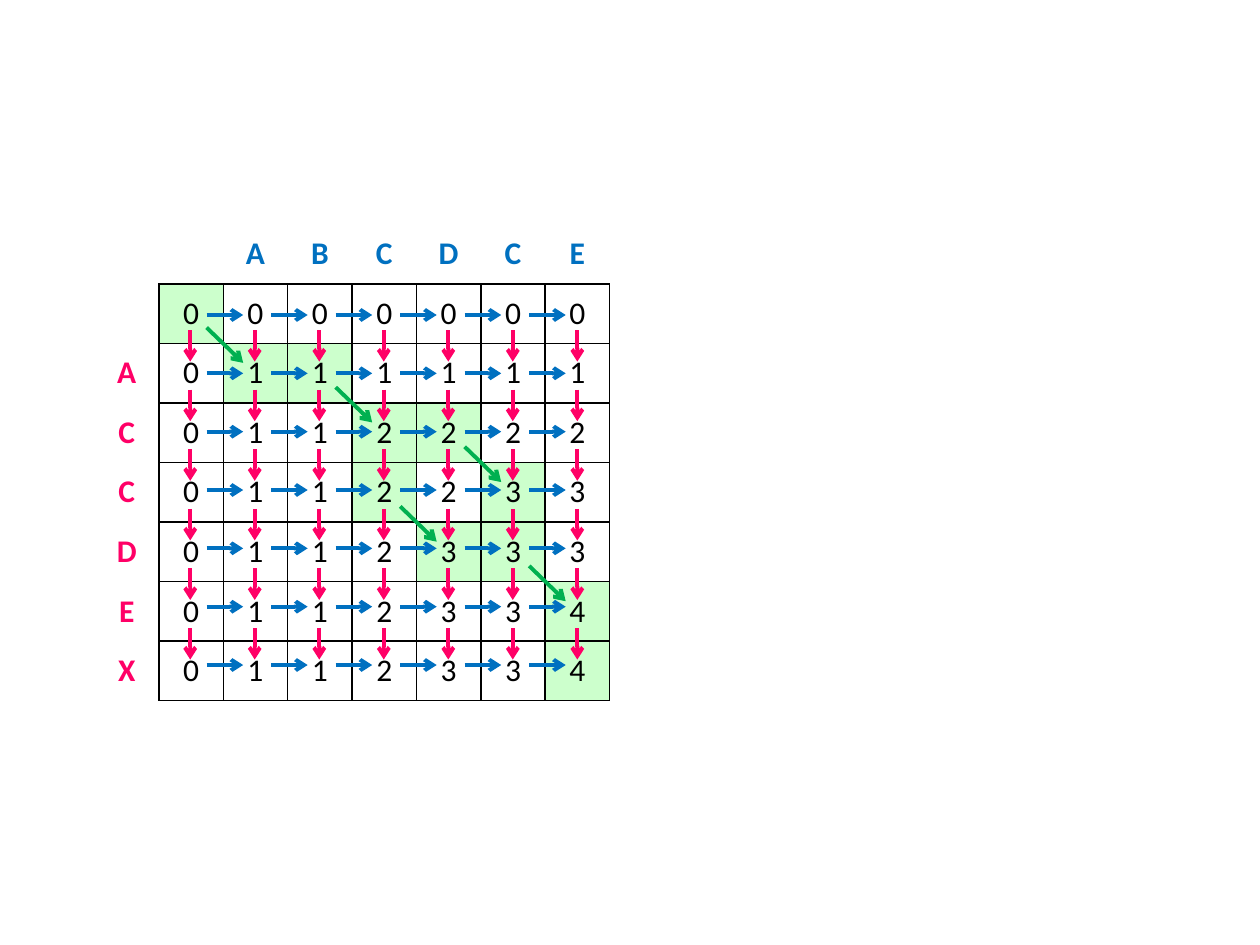
from lxml import etree
from pptx import Presentation
from pptx.dml.color import RGBColor
from pptx.enum.shapes import MSO_CONNECTOR
from pptx.enum.text import MSO_ANCHOR, PP_ALIGN
from pptx.oxml.ns import qn
from pptx.util import Inches, Pt

LINE = MSO_CONNECTOR.STRAIGHT
MIDDLE, CENTER = MSO_ANCHOR.MIDDLE, PP_ALIGN.CENTER
color = RGBColor.from_string
BLUE, PINK, GREEN = "0070C0", "FF0066", "00B050"
BLACK, WHITE, MINT = "000000", "FFFFFF", "CCFFCC"


def write(cell, text, hue=BLACK, bold=False, size=18, face="Calibri"):
    cell.vertical_anchor = MIDDLE
    para = cell.text_frame.paragraphs[0]
    para.alignment = CENTER
    run = para.add_run()
    run.text = text
    run.font.name, run.font.size, run.font.bold = face, Pt(size), bold
    run.font.color.rgb = color(hue)


def arrow(x, y, dx, dy, hue):
    ends = [Inches(v) for v in (x, y, x + dx, y + dy)]
    link = slide.shapes.add_connector(LINE, *ends)
    link.line.color.rgb = color(hue)
    link.line.width = Pt(2.25)
    etree.SubElement(link.line._get_or_add_ln(), qn("a:tailEnd"), type="arrow")
    etree.SubElement(link._element.spPr, qn("a:effectLst"))


deck = Presentation()
deck.slide_width, deck.slide_height = Inches(10), Inches(7.5)
slide = deck.slides.add_slide(deck.slide_layouts[6])

# Letters, scores and the traced cells
top = "ABCDCE"
side = "ACCDEX"
scores = ["0000000", "0111111", "0112222", "0112233",
          "0112333", "0112334", "0112334"]
traced = {(0, 0), (1, 1), (1, 2), (2, 3), (2, 4), (3, 3),
          (3, 5), (4, 4), (4, 5), (5, 6), (6, 6)}
size = len(scores)

# Table of scores with a header row and column
frame = slide.shapes.add_table(size + 1, size + 1, Inches(0.75), Inches(1.78),
                               Inches(4.09), Inches(3.78))
table = frame.table
table.first_row = table.horz_banding = False
for row in range(size + 1):
    for col in range(size + 1):
        cell = table.cell(row, col)
        inner = row > 0 and col > 0

        # Borders: the headers show only the edge that meets the scores
        props = cell._tc.get_or_add_tcPr()
        for edge in "LRTB":
            meets = (edge == "R" and col == 0 < row) or (edge == "B" and row == 0 < col)
            ln = etree.SubElement(props, qn("a:ln" + edge), w=str(Pt(1)))
            fill = etree.SubElement(ln, qn("a:solidFill"))
            etree.SubElement(fill, qn("a:srgbClr"), val=BLACK if inner or meets else WHITE)

        # Fill
        if (row - 1, col - 1) in traced:
            cell.fill.solid()
            cell.fill.fore_color.rgb = color(MINT)
        else:
            cell.fill.background()

        # Text: the first score row and column have no letter
        if inner:
            write(cell, scores[row - 1][col - 1])
        elif col > 1:
            write(cell, top[col - 2], hue=BLUE, bold=True)
        elif row > 1:
            write(cell, side[row - 2], hue=PINK, bold=True)

# Arrows to the right, down and along the matches
wide, high = 0.512, 0.473
for row in range(size):
    for col in range(size - 1):
        arrow(1.64 + col * wide, 2.5 + row * 0.463, 0.29, 0, BLUE)
for col in range(size):
    for row in range(size - 1):
        arrow(1.51 + col * wide, 2.62 + row * high, 0, 0.25, PINK)
for row, col in [(0, 0), (1, 2), (3, 3), (4, 5), (2, 4)]:
    arrow(1.64 + col * wide, 2.6 + row * high, 0.29, 0.28, GREEN)

deck.save("out.pptx")
